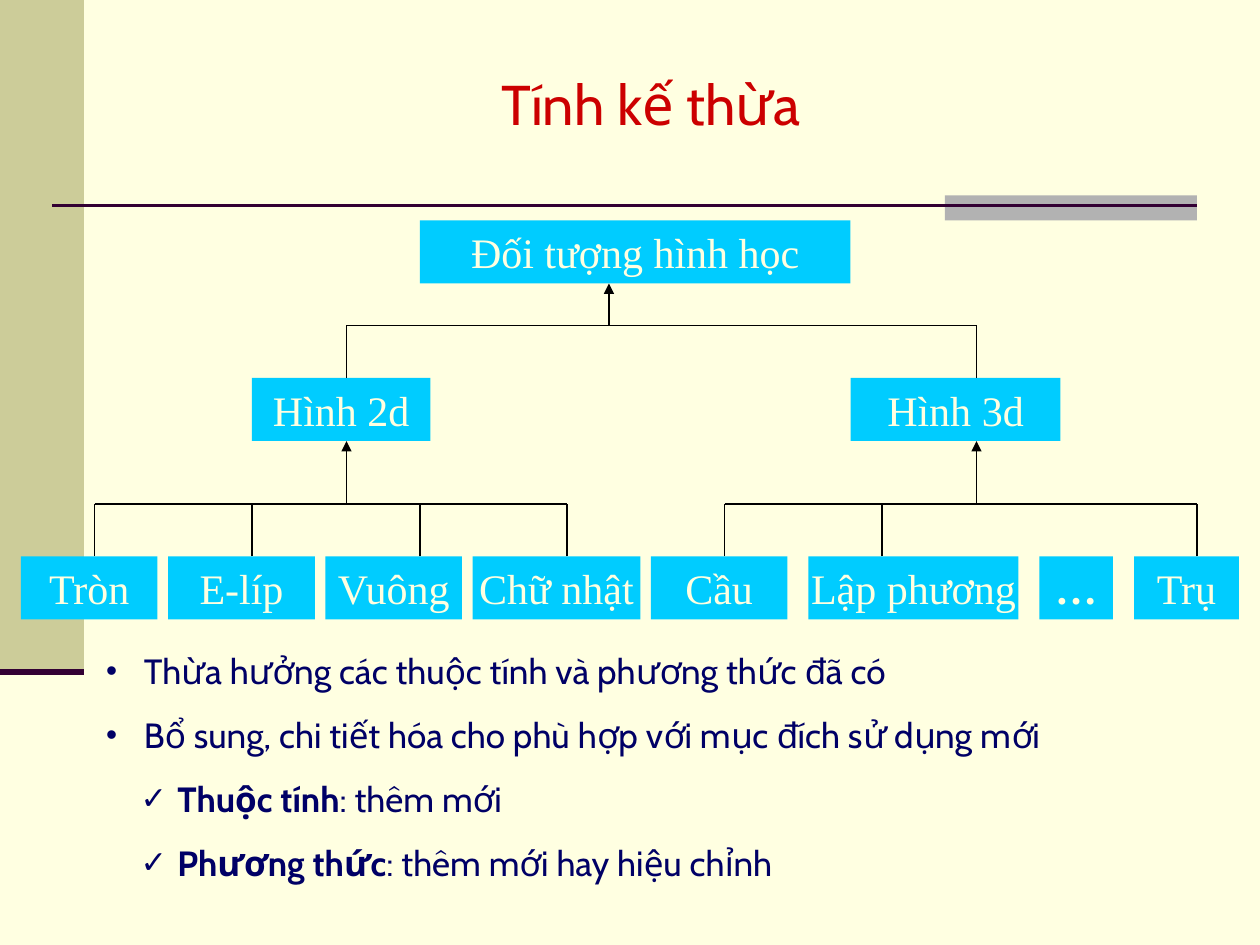
from lxml.etree import SubElement
from pptx import Presentation
from pptx.dml.color import RGBColor
from pptx.enum.shapes import MSO_CONNECTOR as Connector, MSO_SHAPE as Shape
from pptx.enum.text import MSO_ANCHOR as Anchor, MSO_AUTO_SIZE as AutoSize, PP_ALIGN as Align
from pptx.oxml.ns import qn
from pptx.util import Pt

COLORS = {
    "page": "FFFFE1", "band": "CCCC99", "accent": "B2B2B2", "rule": "330033",
    "title": "CC0000", "node": "00CCFF", "line": "000000", "body": "000066",
}
PX = 7620
NODE_HEIGHT = 60
LEAF_TOP = 530
LEAVES = [
    ("Tròn", 20, 130), ("E-líp", 160, 140), ("Vuông", 310, 130), ("Chữ nhật", 450, 160),
    ("Cầu", 620, 130), ("Lập phương", 770, 200), ("…", 990, 70), ("Trụ", 1080, 100),
]
BRANCHES = [
    (580, 270, 310, 360, [330, 930]),
    (330, 420, 480, LEAF_TOP, [90, 240, 400, 540]),
    (930, 420, 480, LEAF_TOP, [690, 840, 1140]),
]
POINTS = [
    (0, [("Thừa hưởng các thuộc tính và phương thức đã có", False)]),
    (0, [("Bổ sung, chi tiết hóa cho phù hợp với mục đích sử dụng mới", False)]),
    (1, [("Thuộc tính", True), (": thêm mới", False)]),
    (1, [("Phương thức", True), (": thêm mới hay hiệu chỉnh", False)]),
]
BULLETS = [("•", 36, 36), ("✓", 68, 35)]


class SlideBuilder:
    """Draws styled elements on one slide, with lengths in px."""

    def __init__(self, page):
        self.page = page
        page.background.fill.solid()
        page.background.fill.fore_color.rgb = self.color("page")

    def color(self, name):
        return RGBColor.from_string(COLORS[name])

    def style(self, paragraph, font, size, color):
        paragraph.font.name = font
        paragraph.font.size = Pt(size)
        paragraph.font.color.rgb = self.color(color)

    def place(self, box, left, top, width, height):
        box.left, box.top, box.width, box.height = (
            value * PX for value in (left, top, width, height))

    def inset(self, frame, across, down):
        frame.margin_left = frame.margin_right = across * PX
        frame.margin_top = frame.margin_bottom = down * PX

    def rect(self, left, top, width, height, fill):
        box = self.page.shapes.add_shape(
            Shape.RECTANGLE, left * PX, top * PX, width * PX, height * PX)
        box.shadow.inherit = False
        box.fill.solid()
        box.fill.fore_color.rgb = self.color(fill)
        box.line.fill.background()
        return box

    def node(self, text, left, top, width):
        frame = self.rect(left, top, width, NODE_HEIGHT, "node").text_frame
        frame.word_wrap = False
        frame.vertical_anchor = Anchor.MIDDLE
        self.inset(frame, 1, 1)
        para = frame.paragraphs[0]
        para.text = text
        para.alignment = Align.CENTER
        self.style(para, "Times New Roman", 24, "page")
        para.font.bold = text == "…"

    def line(self, start, end, color="line", width=0.75, arrow=False):
        line = self.page.shapes.add_connector(
            Connector.STRAIGHT, *(value * PX for value in start + end))
        line.line.color.rgb = self.color(color)
        line.line.width = Pt(width)
        if arrow:
            SubElement(line.line._get_or_add_ln(), qn("a:tailEnd"), type="triangle")
        SubElement(line._element.spPr, qn("a:effectLst"))

    def branch(self, stem, parent, bar, child, drops):
        self.line((drops[0], bar), (drops[-1], bar))
        for drop in drops:
            self.line((drop, child), (drop, bar))
        self.line((stem, bar), (stem, parent), arrow=True)

    def title(self, text, *bounds):
        box = self.page.shapes.title
        self.place(box, *bounds)
        frame = box.text_frame
        frame.auto_size = AutoSize.NONE
        frame.vertical_anchor = Anchor.TOP
        self.inset(frame, 12, 6)
        para = frame.paragraphs[0]
        para.text = text
        para.alignment = Align.CENTER
        self.style(para, "Cabin", 32, "title")

    def bullet(self, para, level):
        symbol, margin, hanging = BULLETS[level]
        para.level = level
        props = para._p.get_or_add_pPr()
        props.set("marL", str(margin * PX))
        props.set("indent", str(-hanging * PX))
        tint = SubElement(props, qn("a:buClr"))
        SubElement(tint, qn("a:srgbClr"), val=COLORS["body"])
        SubElement(props, qn("a:buSzPct"), val="90000")
        SubElement(props, qn("a:buChar"), char=symbol)

    def body(self, points, *bounds):
        box = self.page.placeholders[1]
        self.place(box, *bounds)
        frame = box.text_frame
        frame.auto_size = AutoSize.NONE
        frame.vertical_anchor = Anchor.TOP
        self.inset(frame, 1, 1)
        for index, (level, spans) in enumerate(points):
            para = frame.add_paragraph() if index else frame.paragraphs[0]
            self.bullet(para, level)
            para.space_before = Pt(12.5 if index else 0)
            self.style(para, "Cabin", 20, "body")
            for text, bold in spans:
                span = para.add_run()
                span.text = text
                if bold:
                    span.font.bold = True


def main():
    deck = Presentation()
    deck.slide_width, deck.slide_height = 1200 * PX, 900 * PX
    slide = SlideBuilder(deck.slides.add_slide(deck.slide_layouts[1]))
    slide.rect(0, 0, 80, 640, "band")
    slide.rect(900, 186, 240, 24, "accent")
    slide.line((50, 196), (1140, 196), "rule", 1.5)
    slide.line((0, 640), (80, 640), "rule", 3.5)
    slide.title("Tính kế thừa", 90, 60, 1060, 77)
    slide.node("Đối tượng hình học", 400, 210, 410)
    slide.node("Hình 2d", 240, 360, 170)
    slide.node("Hình 3d", 810, 360, 200)
    for text, left, width in LEAVES:
        slide.node(text, left, LEAF_TOP, width)
    for branch in BRANCHES:
        slide.branch(*branch)
    slide.body(POINTS, 100, 618, 1010, 224)
    deck.save("out.pptx")


if __name__ == "__main__":
    main()
